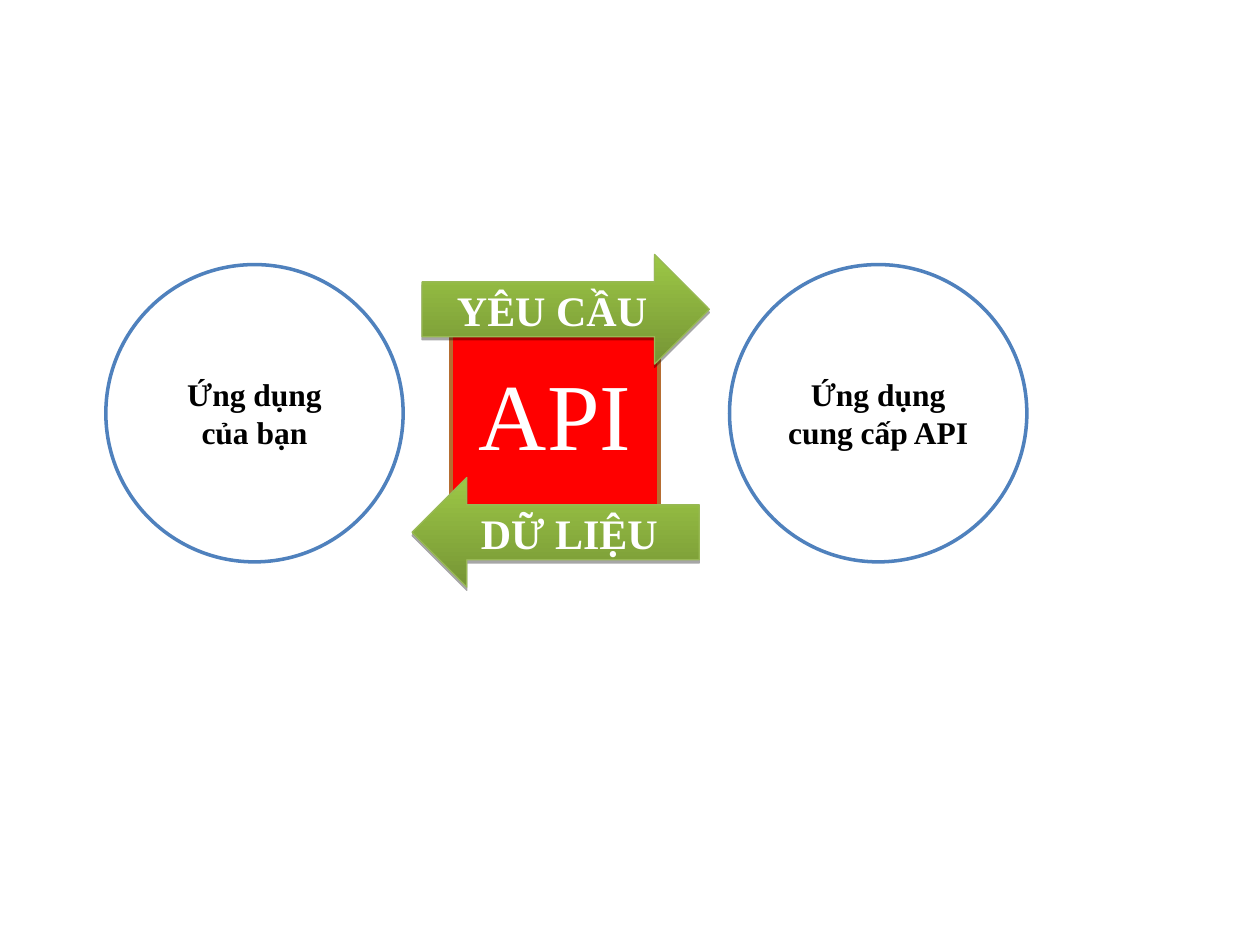
from dataclasses import dataclass

from lxml.etree import SubElement
from pptx import Presentation
from pptx.dml.color import RGBColor
from pptx.enum.shapes import MSO_SHAPE as Shape
from pptx.enum.text import MSO_ANCHOR as Anchor, PP_ALIGN as Align
from pptx.oxml.ns import qn
from pptx.util import Inches, Pt

WHITE = RGBColor(0xFF, 0xFF, 0xFF)
BLACK = RGBColor(0x00, 0x00, 0x00)
RED = RGBColor(0xFF, 0x00, 0x00)
BLUE = RGBColor(0x4F, 0x81, 0xBD)
BROWN = RGBColor(0xB6, 0x6D, 0x31)
GREEN = RGBColor(0x98, 0xB9, 0x54)
GREEN_DARK = RGBColor(0x76, 0x95, 0x35)
GREEN_LIGHT = RGBColor(0x9C, 0xC7, 0x46)

COL = Inches(10) / 100  # the grid has 100 columns and 75 rows of equal size
ROW = Inches(7.5) / 75


@dataclass(frozen=True)
class Style:
    kind: Shape
    cols: float
    rows: float
    fills: tuple[RGBColor, ...]  # one colour is solid, two run from bottom to top
    line: RGBColor
    line_pt: float
    font: dict
    shadow: bool = False


@dataclass(frozen=True)
class Node:
    text: str
    col: float
    row: float
    style: Style


def font_format(size: float, bold: bool) -> dict:
    return {"name": "Times New Roman", "size": Pt(size), "bold": bold}


def arrow_style(kind: Shape) -> Style:
    return Style(kind, 22.8, 8.7, (GREEN_DARK, GREEN_LIGHT), GREEN, 0.75,
                 font_format(24, True), shadow=True)


CIRCLE = Style(Shape.OVAL, 23.6, 23.6, (WHITE,), BLUE, 2, font_format(18, True))
SQUARE = Style(Shape.RECTANGLE, 16.5, 16.5, (RED,), BROWN, 2, font_format(54, False))

NODES = (
    Node("Ứng dụng cung cấp API", 57.9, 21, CIRCLE),
    Node("API", 35.8, 24.5, SQUARE),
    Node("YÊU CẦU", 33.5, 20.2, arrow_style(Shape.RIGHT_ARROW)),
    Node("DỮ LIỆU", 32.7, 37.9, arrow_style(Shape.LEFT_ARROW)),
    Node("Ứng dụng của bạn", 8.4, 21, CIRCLE),
)


def paint(fill, colors: tuple[RGBColor, ...]) -> None:
    if len(colors) == 1:
        fill.solid()
        fill.fore_color.rgb = colors[0]
        return
    fill.gradient()
    fill.gradient_angle = 90
    for stop, color in zip(fill.gradient_stops, colors):
        stop.color.rgb = color


def add_drop_shadow(sp) -> None:
    """Cast a sharp 35 % black shadow straight down."""
    effects = sp._element.spPr.find(qn("a:effectLst"))
    shadow = SubElement(effects, qn("a:outerShdw"), blurRad="0",
                        dist=str(Pt(1.8)), dir="5400000", rotWithShape="0")
    color = SubElement(shadow, qn("a:srgbClr"), val=str(BLACK))
    SubElement(color, qn("a:alpha"), val="35000")


def add_node(s, node: Node) -> None:
    style = node.style
    sp = s.shapes.add_shape(
        style.kind, int(node.col * COL), int(node.row * ROW),
        int(style.cols * COL), int(style.rows * ROW))
    paint(sp.fill, style.fills)
    sp.line.color.rgb = style.line
    sp.line.width = Pt(style.line_pt)
    sp.shadow.inherit = False
    if style.shadow:
        add_drop_shadow(sp)

    tf = sp.text_frame
    tf.word_wrap = True
    tf.vertical_anchor = Anchor.MIDDLE
    p = tf.paragraphs[0]
    p.alignment = Align.CENTER
    r = p.add_run()
    r.text = node.text
    for name, value in style.font.items():
        setattr(r.font, name, value)
    r.font.color.rgb = BLACK if style is CIRCLE else WHITE


def main() -> None:
    prs = Presentation()
    prs.slide_width, prs.slide_height = Inches(10), Inches(7.5)
    s = prs.slides.add_slide(prs.slide_layouts[6])
    for node in NODES:
        add_node(s, node)
    prs.save("out.pptx")


if __name__ == "__main__":
    main()
